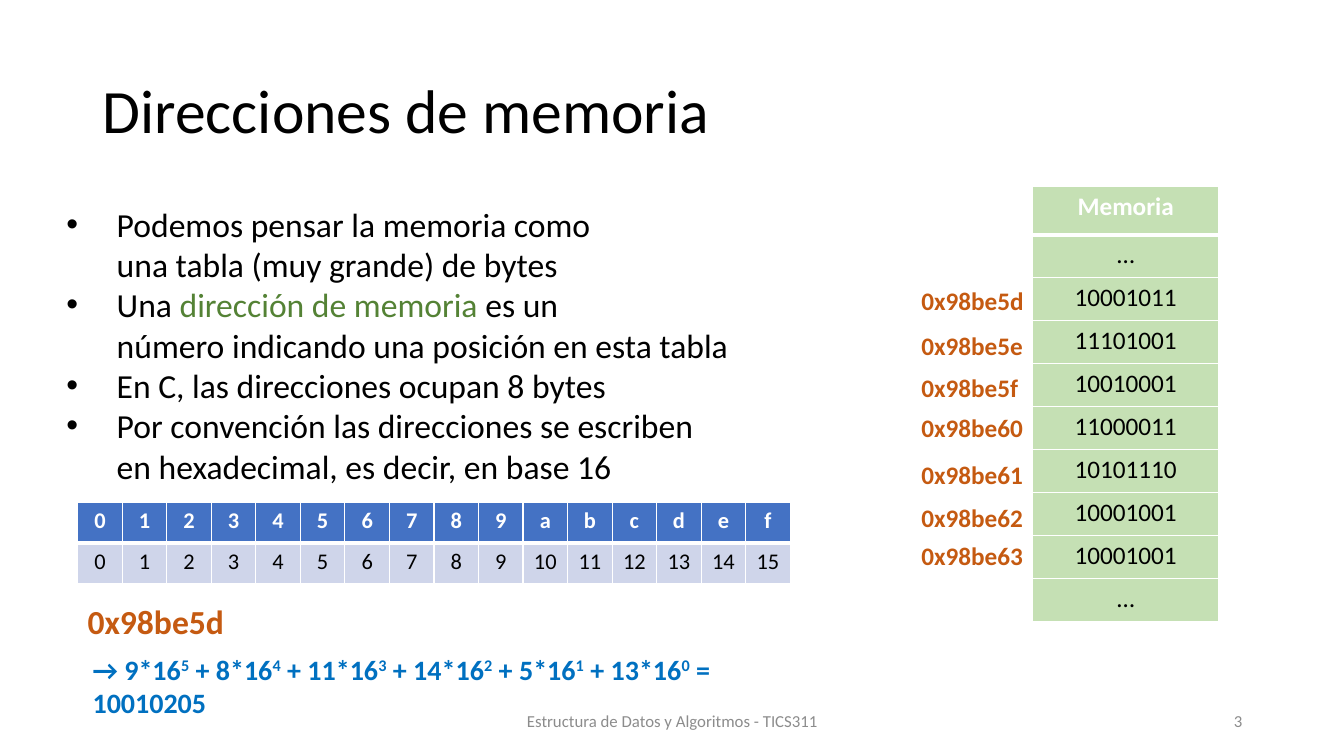
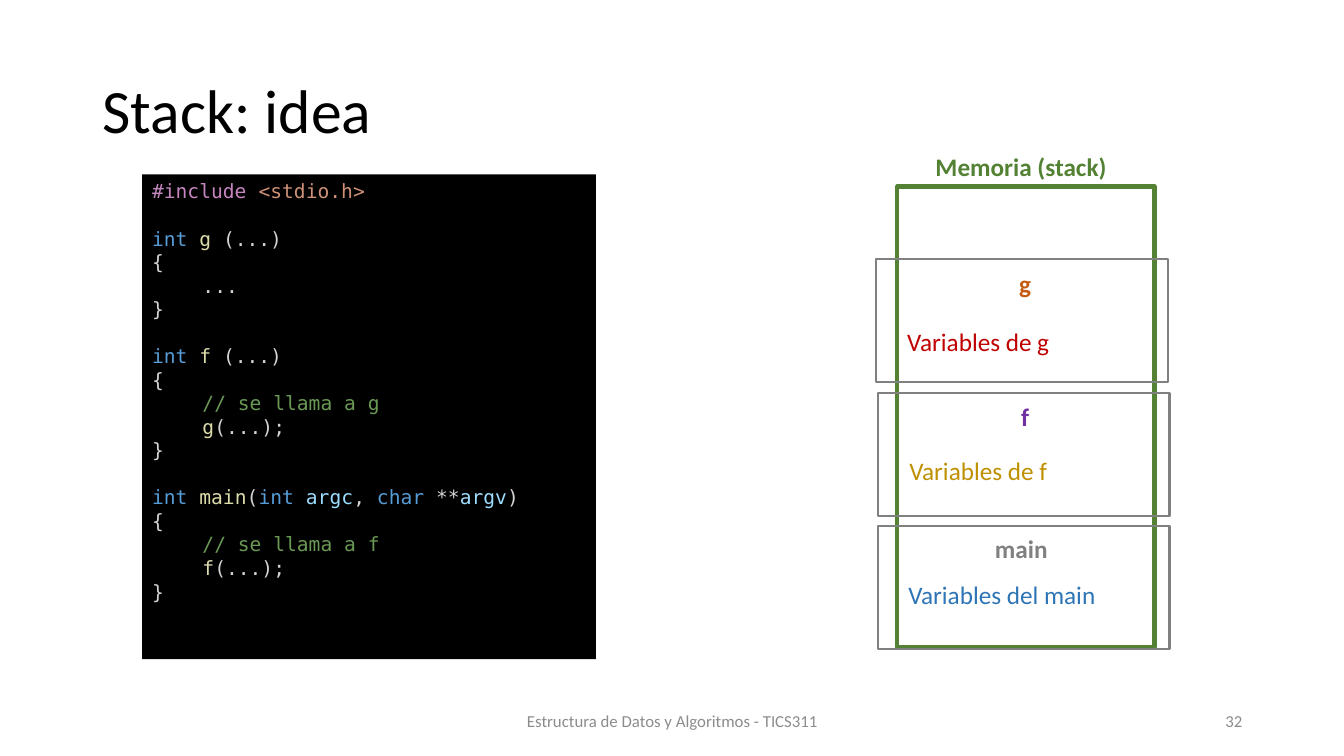
import pptx
import pptx.dml.color
import pptx.enum.shapes
import pptx.enum.text
import pptx.oxml
import pptx.oxml.ns
import pptx.util

Inches = pptx.util.Inches
Pt = pptx.util.Pt
ALIGN = pptx.enum.text.PP_ALIGN
ANCHOR = pptx.enum.text.MSO_ANCHOR

# Shared style
FONT = "Calibri"
CODE_FONT = "DejaVu Sans Mono"
BLACK, WHITE, GREY = "000000", "FFFFFF", "808080"
GREEN, ORANGE, BLUE = "548235", "C55A11", "0070C0"
FOOTER_GREY = "8C8C8C"
FOOTER = "Estructura de Datos y Algoritmos - TICS311"

# Code colours
PLAIN, KEYWORD, FUNCTION = "D4D4D4", "569CD6", "DCDCAA"
COMMENT, VARIABLE = "6A9955", "9CDCFE"
DIRECTIVE, HEADER = "C586C0", "CE9178"


def rgb(color):
    return pptx.dml.color.RGBColor.from_string(color)


def add_xml(parent, markup):
    """Append one DrawingML element written as '<a:name ...>'."""
    namespace = pptx.oxml.ns.nsdecls("a")
    name, rest = markup[1:].split(" ", 1)
    parent.append(pptx.oxml.parse_xml(f"<{name} {namespace} {rest}"))


# Text
def add_run(paragraph, text, size, color, bold, font, superscript=False):
    for index, line in enumerate(text.split("\n")):
        if index:
            paragraph.add_line_break()
        run = paragraph.add_run()
        run.text = line
        run.font.name = font
        run.font.size = Pt(size)
        run.font.bold = bold
        run.font.color.rgb = rgb(color)
        if superscript:
            run._r.get_or_add_rPr().set("baseline", "30000")


def write_text(frame, paragraphs, size=18, color=BLACK, bold=False, font=FONT,
               align=ALIGN.LEFT, anchor=ANCHOR.TOP, wrap=True,
               line_spacing=None, bullet=False, tab=None, gaps=None):
    """Each paragraph is a string or a list of (text, run format) pairs."""
    frame.word_wrap = wrap
    frame.vertical_anchor = anchor
    if isinstance(paragraphs, str):
        paragraphs = [paragraphs]
    for index, runs in enumerate(paragraphs):
        paragraph = frame.paragraphs[0] if index == 0 else frame.add_paragraph()
        paragraph.alignment = align
        if line_spacing:
            paragraph.line_spacing = line_spacing
        if gaps and index in gaps:
            paragraph.space_before = Pt(gaps[index])
        properties = paragraph._p.get_or_add_pPr()
        if bullet:
            properties.set("marL", str(Inches(0.5)))
            properties.set("indent", str(-Inches(0.5)))
            add_xml(properties, '<a:buFont typeface="Arial"/>')
            add_xml(properties, '<a:buChar char="•"/>')
        if tab:
            stop = f'<a:tab pos="{Inches(tab)}" algn="l"/>'
            add_xml(properties, f"<a:tabLst >{stop}</a:tabLst>")
        if isinstance(runs, str):
            runs = [(runs, {})]
        for text, changes in runs:
            style = dict(size=size, color=color, bold=bold, font=font)
            add_run(paragraph, text, **{**style, **changes})


def add_text(slide, paragraphs, left, top, width, height=0.4, **style):
    box = slide.shapes.add_textbox(
        Inches(left), Inches(top), Inches(width), Inches(height))
    write_text(box.text_frame, paragraphs, **style)


def add_label(slide, text, left, top, width, height=0.4, **style):
    add_text(slide, text, left, top, width, height, wrap=False, **style)


# Shapes and tables
def add_rectangle(slide, left, top, width, height, fill=None, line=None,
                  line_width=1.5):
    shape = slide.shapes.add_shape(
        pptx.enum.shapes.MSO_SHAPE.RECTANGLE,
        Inches(left), Inches(top), Inches(width), Inches(height))
    shape.shadow.inherit = False
    if fill:
        shape.fill.solid()
        shape.fill.fore_color.rgb = rgb(fill)
    else:
        shape.fill.background()
    if line:
        shape.line.color.rgb = rgb(line)
        shape.line.width = Pt(line_width)
    else:
        shape.line.fill.background()
    return shape


def format_cell(cell, text, size, fill, row):
    header = row == 0
    properties = cell._tc.get_or_add_tcPr()
    widths = {"L": 1, "R": 1, "T": 3 if row == 1 else 1, "B": 3 if header else 1}
    for side, width in widths.items():
        add_xml(properties,
                f'<a:ln{side} w="{Pt(width)}"><a:solidFill>'
                f'<a:srgbClr val="{WHITE}"/></a:solidFill></a:ln{side}>')
    cell.fill.solid()
    cell.fill.fore_color.rgb = rgb(fill)
    write_text(cell.text_frame, text, size=size, bold=header,
               color=WHITE if header else BLACK, align=ALIGN.CENTER)


def add_table(slide, rows, left, top, width, height, size, header_fill,
              body_fill, header_height):
    table = slide.shapes.add_table(
        len(rows), len(rows[0]), Inches(left), Inches(top),
        Inches(width), Inches(height)).table
    body_height = (height - header_height) / (len(rows) - 1)
    for row, values in enumerate(rows):
        table.rows[row].height = Inches(body_height if row else header_height)
        for column, value in enumerate(values):
            format_cell(table.cell(row, column), value, size,
                        body_fill if row else header_fill, row)


def add_slide(presentation, title, number):
    slide = presentation.slides.add_slide(presentation.slide_layouts[6])
    add_text(slide, title, 0.92, 0.4, 11.5, 1.45, size=44,
             anchor=ANCHOR.MIDDLE, line_spacing=0.9)
    footer_style = dict(size=12, color=FOOTER_GREY, anchor=ANCHOR.MIDDLE)
    add_text(slide, FOOTER, 4.42, 6.95, 4.5, align=ALIGN.CENTER, **footer_style)
    add_text(slide, str(number), 9.42, 6.95, 3, align=ALIGN.RIGHT,
             **footer_style)
    return slide


# Slide: memory addresses
def build_addresses(presentation):
    slide = add_slide(presentation, "Direcciones de memoria", 3)

    # Memory table and the address of each byte
    memory = ["Memoria", "…", "10001011", "11101001", "10010001", "11000011",
              "10101110", "10001001", "10001001", "…"]
    add_table(slide, [[value] for value in memory], 10.24, 1.85, 1.85, 4.32,
              size=18, header_fill="C5E0B4", body_fill="C5E0B4",
              header_height=0.48)
    address_tops = [2.78, 3.23, 3.64, 4.04, 4.51, 4.93, 5.31]
    for offset, top in enumerate(address_tops):
        address = f"0x{0x98be5d + offset:x}"
        width = 1.17 if address.endswith("f") else 1.22
        add_label(slide, address, 9.04, top, width, color=ORANGE, bold=True)

    # Explanation
    add_text(slide, [
        "Podemos pensar la memoria como\nuna tabla (muy grande) de bytes",
        [("Una ", {}), ("dirección de memoria ", {"color": GREEN}),
         ("es un\nnúmero indicando una posición en esta tabla", {})],
        "En C, las direcciones ocupan 8 bytes",
        "Por convención las direcciones se escriben\n"
        "en hexadecimal, es decir, en base 16",
    ], 0.56, 1.97, 8.86, 2.93, size=24, bullet=True)

    # Hexadecimal digits
    digits = [[f"{value:x}" for value in range(16)],
              [str(value) for value in range(16)]]
    add_table(slide, digits, 0.77, 4.98, 7.07, 0.81, size=16,
              header_fill="4472C4", body_fill="CFD5EA", header_height=0.405)

    # Worked conversion
    add_label(slide, "0x98be5d", 0.77, 5.91, 1.57, 0.5, size=24,
              color=ORANGE, bold=True)
    formula = []
    for index, digit in enumerate("98be5d"):
        lead = " + " if index else "→ "
        formula += [(f"{lead}{int(digit, 16)}*16", {}),
                    (str(5 - index), {"superscript": True})]
    formula.append((f" = {0x98be5d}", {}))
    add_label(slide, [formula], 0.82, 6.42, 7.51, 0.44, size=20, color=BLUE,
              bold=True)


# Slide: the stack
def function_start(name):
    return [("int ", {"color": KEYWORD}), (name, {"color": FUNCTION}),
            (" (...)", {})]


def function_call(name):
    return [[(f"\t// se llama a {name}", {"color": COMMENT})],
            [(f"\t{name}", {"color": FUNCTION}), ("(...);", {})]]


def build_stack(presentation):
    slide = add_slide(presentation, "Stack: idea", 32)

    # Program
    code = [
        [("#include ", {"color": DIRECTIVE}), ("<stdio.h>", {"color": HEADER})],
        function_start("g"), "{", "\t...", "}",
        function_start("f"), "{", *function_call("g"), "}",
        [("int ", {"color": KEYWORD}), ("main", {"color": FUNCTION}),
         ("(", {}), ("int ", {"color": KEYWORD}),
         ("argc", {"color": VARIABLE}), (", ", {}),
         ("char", {"color": KEYWORD}), (" **", {}),
         ("argv", {"color": VARIABLE}), (")", {})],
        "{", *function_call("f"), "}",
    ]
    function_lines = [1, 5, 10]
    panel = add_rectangle(slide, 1.41, 1.73, 4.5, 4.81, fill=BLACK)
    write_text(panel.text_frame, code, size=14, color=PLAIN, font=CODE_FONT,
               tab=0.5, gaps={line: 16.8 for line in function_lines})

    # Memory
    add_rectangle(slide, 8.9, 1.85, 2.55, 4.57, fill=WHITE, line=GREEN,
                  line_width=3)
    add_label(slide, "Memoria (stack)", 9.18, 1.45, 1.91, color=GREEN,
              bold=True)

    # Frames: frame left and top, then (text, left, top, width, colour)
    frames = [
        (8.71, 5.22, ("main", 9.77, 5.24, 0.73, GREY),
         ("Variables del main", 8.91, 5.7, 2.08, "2E75B6")),
        (8.71, 3.9, ("f", 10.03, 3.93, 0.28, "7030A0"),
         ("Variables de f", 8.92, 4.47, 1.59, "BF9000")),
        (8.69, 2.57, ("g", 10.01, 2.61, 0.32, ORANGE),
         ("Variables de g", 8.9, 3.19, 1.63, "C00000")),
    ]
    for frame_left, frame_top, name, variables in frames:
        add_rectangle(slide, frame_left, frame_top, 2.89, 1.22, line=GREY)
        for label, bold in ((name, True), (variables, False)):
            text, left, top, width, color = label
            add_label(slide, text, left, top, width, color=color, bold=bold)


def main():
    presentation = pptx.Presentation()
    presentation.slide_width = Inches(13.33)
    presentation.slide_height = Inches(7.5)
    build_addresses(presentation)
    build_stack(presentation)
    presentation.save("out.pptx")


if __name__ == "__main__":
    main()
